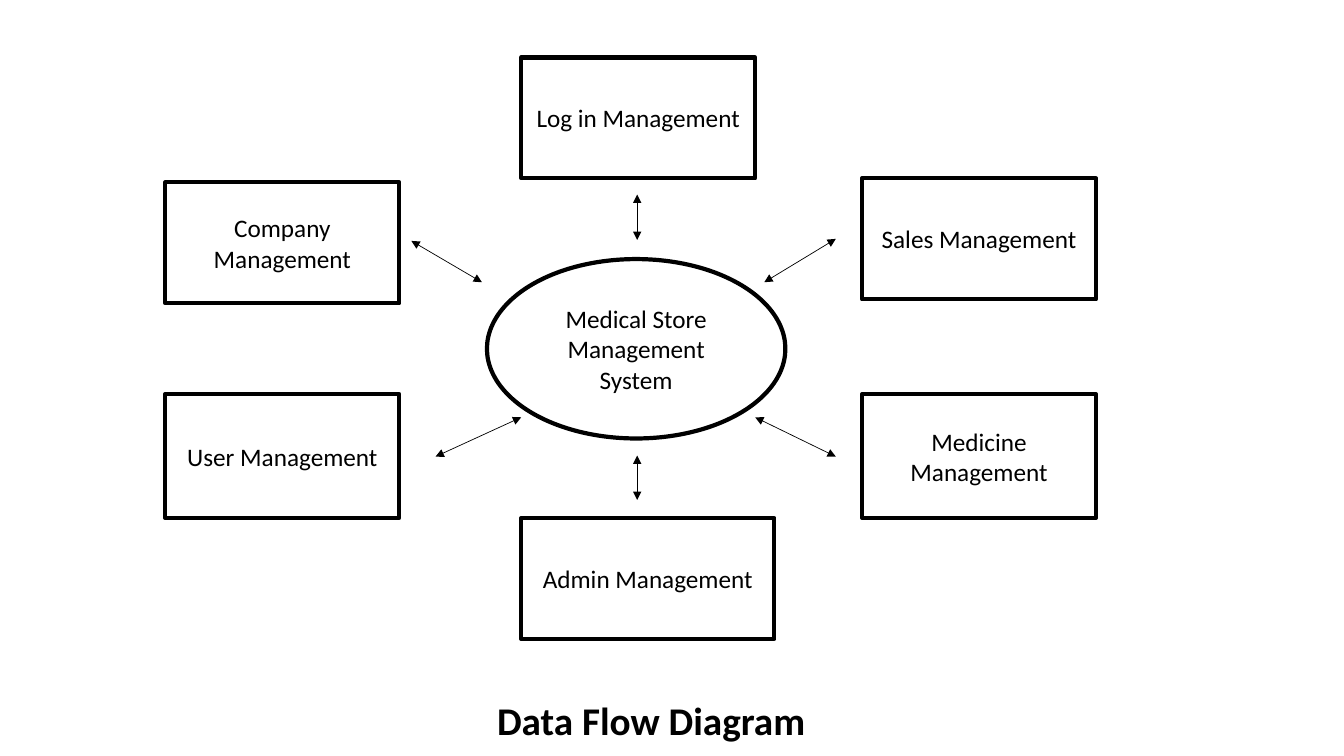
from dataclasses import dataclass

from lxml import etree
from pptx import Presentation
from pptx.dml.color import RGBColor
from pptx.enum.shapes import MSO_CONNECTOR, MSO_SHAPE
from pptx.enum.text import MSO_ANCHOR, MSO_AUTO_SIZE, PP_ALIGN
from pptx.oxml.ns import qn
from pptx.util import Inches, Pt

RECTANGLE, OVAL = MSO_SHAPE.RECTANGLE, MSO_SHAPE.OVAL
STRAIGHT = MSO_CONNECTOR.STRAIGHT
LEFT, CENTER = PP_ALIGN.LEFT, PP_ALIGN.CENTER
TOP, MIDDLE = MSO_ANCHOR.TOP, MSO_ANCHOR.MIDDLE
FIT_TEXT = MSO_AUTO_SIZE.SHAPE_TO_FIT_TEXT


@dataclass(frozen=True)
class Theme:
    """Colours, font, type sizes and line widths of the slide."""
    ink: RGBColor = RGBColor(0, 0, 0)
    paper: RGBColor = RGBColor(255, 255, 255)
    font: str = "Calibri"
    label_size: Pt = Pt(18)
    title_size: Pt = Pt(28)
    outline: Pt = Pt(3)
    flow_width: Pt = Pt(0.5)


THEME = Theme()
MODULES = [
    ("Log in Management", 3.53, 0, 2.32, 1.2),
    ("Sales Management", 6.91, 1.2, 2.32, 1.2),
    ("Medicine Management", 6.91, 3.34, 2.32, 1.23),
    ("Admin Management", 3.53, 4.57, 2.51, 1.2),
    ("Company Management", 0, 1.24, 2.32, 1.2),
    ("User Management", 0, 3.34, 2.32, 1.23),
]
SYSTEM = ("Medical Store Management System", 3.19, 2, 2.96, 1.78)
FLOWS = [
    (5.94, 2.23, 6.65, 1.8),
    (5.85, 3.57, 6.65, 3.96),
    (4.68, 1.81, 4.68, 1.36),
    (4.68, 3.95, 4.68, 4.39),
    (3.14, 2.23, 2.44, 1.82),
    (3.53, 3.57, 2.68, 3.96),
]


def write_text(frame, text, size, align, anchor, bold=False):
    """Write one formatted run into a text frame."""
    frame.word_wrap = True
    frame.vertical_anchor = anchor
    paragraph = frame.paragraphs[0]
    paragraph.alignment = align
    run = paragraph.add_run()
    run.text = text
    run.font.name = THEME.font
    run.font.size = size
    run.font.bold = bold
    run.font.color.rgb = THEME.ink


def add_node(slide, kind, text, left, top, width, height):
    """Add an outlined shape with a centred label."""
    node = slide.shapes.add_shape(
        kind, Inches(left), Inches(top), Inches(width), Inches(height))
    node.shadow.inherit = False
    node.fill.solid()
    node.fill.fore_color.rgb = THEME.paper
    node.line.color.rgb = THEME.ink
    node.line.width = THEME.outline
    write_text(node.text_frame, text, THEME.label_size, CENTER, MIDDLE)


def add_flow(slide, *ends):
    """Add a thin arrow with a head at both ends."""
    flow = slide.shapes.add_connector(STRAIGHT, *map(Inches, ends))
    flow.line.color.rgb = THEME.ink
    flow.line.width = THEME.flow_width
    outline = flow.line._get_or_add_ln()
    for end in ("a:headEnd", "a:tailEnd"):
        etree.SubElement(outline, qn(end), type="triangle")
    etree.SubElement(flow._element.spPr, qn("a:effectLst"))


def add_diagram(slide, left, top):
    """Place the modules, the central system and the flows between them."""
    for text, dx, dy, width, height in MODULES:
        add_node(slide, RECTANGLE, text, left + dx, top + dy, width, height)
    text, dx, dy, width, height = SYSTEM
    add_node(slide, OVAL, text, left + dx, top + dy, width, height)
    for x1, y1, x2, y2 in FLOWS:
        add_flow(slide, left + x1, top + y1, left + x2, top + y2)


def set_title(slide, text, left, top, width, height):
    """Move and format the title placeholder."""
    title = slide.shapes.title
    title.left, title.top = Inches(left), Inches(top)
    title.width, title.height = Inches(width), Inches(height)
    write_text(title.text_frame, text, THEME.title_size, LEFT, TOP, bold=True)
    title.text_frame.auto_size = FIT_TEXT


def main():
    """Build and save the slide."""
    deck = Presentation()
    deck.slide_width, deck.slide_height = Inches(13.33), Inches(7.5)
    slide = deck.slides.add_slide(deck.slide_layouts[5])
    add_diagram(slide, 1.64, 0.57)
    set_title(slide, "Data Flow Diagram", 4.83, 6.86, 3.39, 0.57)
    deck.save("out.pptx")


if __name__ == "__main__":
    main()
